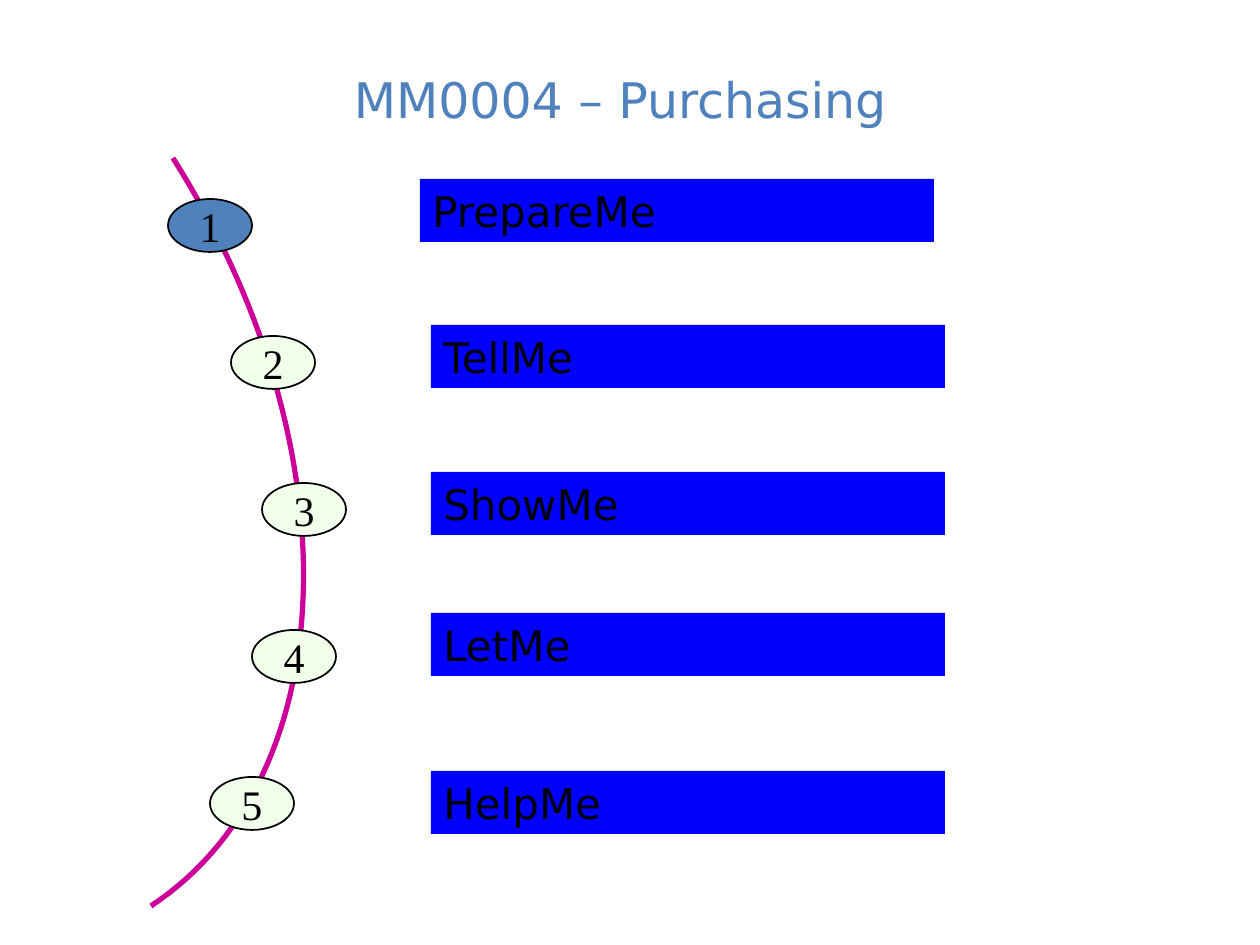
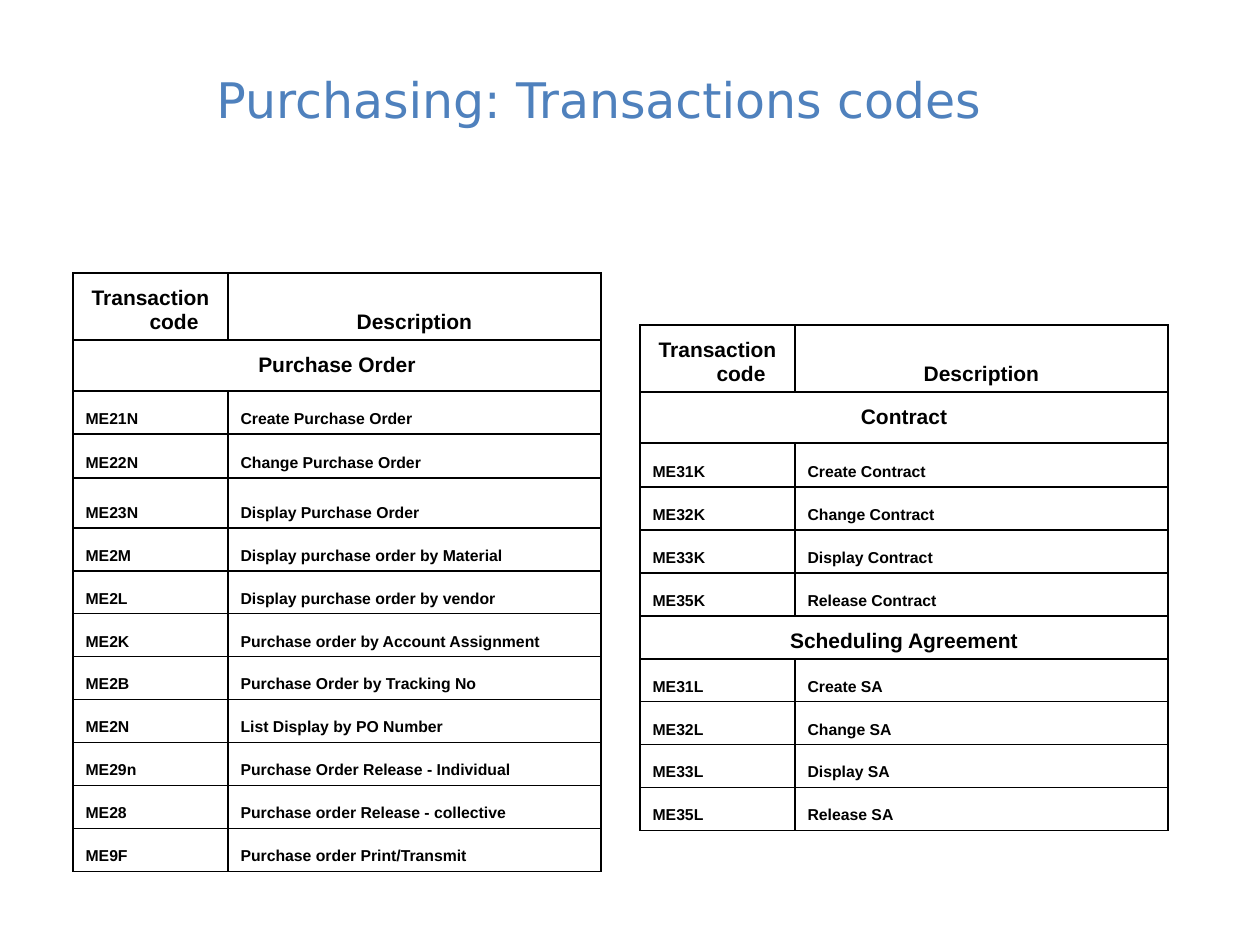
"""Build the purchasing roadmap and the table slide of its transaction codes."""
import pptx
import pptx.dml.color
import pptx.enum.shapes
import pptx.enum.text
import pptx.oxml
import pptx.oxml.ns
import pptx.util

PX = 914400 / 126
COLORS = {"accent": "4F81BD", "path": "CC0099", "bar": "0000FF", "step": "F2FFEB", "ink": "000000"}
SANS, SERIF, TABLE_FONT = "DejaVu Sans", "Times New Roman", "Arial"
ALIGN = pptx.enum.text.PP_ALIGN
ANCHOR = pptx.enum.text.MSO_ANCHOR
SHAPE = pptx.enum.shapes.MSO_SHAPE

STEPS = [
    ("PrepareMe", (168, 199), (420, 179)),
    ("TellMe", (231, 336), (431, 325)),
    ("ShowMe", (262, 483), (431, 472)),
    ("LetMe", (252, 630), (431, 613)),
    ("HelpMe", (210, 777), (431, 771)),
]
CURVE = [(173, 158), (355, 446), (346, 777), (151, 906)]
HEADER = ("Transaction code", "Description")
ORDER_ROWS = [
    HEADER,
    ("Purchase Order",),
    ("ME21N", "Create Purchase Order"),
    ("ME22N", "Change Purchase Order"),
    ("ME23N", "Display Purchase Order"),
    ("ME2M", "Display purchase order by Material"),
    ("ME2L", "Display purchase order by vendor"),
    ("ME2K", "Purchase order by Account Assignment"),
    ("ME2B", "Purchase Order by Tracking No"),
    ("ME2N", "List Display by PO Number"),
    ("ME29n", "Purchase Order Release - Individual"),
    ("ME28", "Purchase order Release - collective"),
    ("ME9F", "Purchase order Print/Transmit"),
]
ACTIONS = ("Create", "Change", "Display", "Release")
AGREEMENT_ROWS = [
    HEADER,
    ("Contract",),
    *[(f"ME3{n}K", f"{action} Contract") for n, action in zip("1235", ACTIONS)],
    ("Scheduling Agreement",),
    *[(f"ME3{n}L", f"{action} SA") for n, action in zip("1235", ACTIONS)],
]


def px(length):
    """Turn pixels into EMU."""
    return pptx.util.Emu(round(length * PX))


def rgb(name):
    """Look up a named colour."""
    return pptx.dml.color.RGBColor.from_string(COLORS[name])


def write(tf, text, size, font, color="ink", align=ALIGN.LEFT, bold=False):
    """Fill a text frame with one formatted paragraph and return it."""
    tf.text = text
    p = tf.paragraphs[0]
    p.alignment = align
    f = p.runs[0].font
    f.size, f.name, f.bold = pptx.util.Pt(size), font, bold
    f.color.rgb = rgb(color)
    return p


def add_title(s, text, box):
    """Add a centred slide title in a box."""
    tf = s.shapes.add_textbox(*map(px, box)).text_frame
    tf.word_wrap = True
    tf.vertical_anchor = ANCHOR.MIDDLE
    write(tf, text, 28, SANS, "accent", ALIGN.CENTER)


def add_block(s, kind, box, fill, line=None):
    """Add a flat filled shape with an optional outline."""
    sp = s.shapes.add_shape(kind, *map(px, box))
    sp.shadow.inherit = False
    sp.fill.solid()
    sp.fill.fore_color.rgb = rgb(fill)
    if line:
        sp.line.color.rgb = rgb(line)
        sp.line.width = pptx.util.Pt(1)
    else:
        sp.line.fill.background()
    return sp


def add_curve(s, controls, segments=60):
    """Draw the roadmap as an open cubic curve through control points."""
    points = []
    for i in range(segments + 1):
        t = i / segments
        weights = ((1 - t) ** 3, 3 * t * (1 - t) ** 2, 3 * t * t * (1 - t), t ** 3)
        points.append(tuple(px(sum(w * c[axis] for w, c in zip(weights, controls))) for axis in (0, 1)))
    builder = s.shapes.build_freeform(*points[0])
    builder.add_line_segments(points[1:], close=False)
    sp = builder.convert_to_shape()
    sp.shadow.inherit = False
    sp.fill.background()
    sp.line.color.rgb = rgb("path")
    sp.line.width = pptx.util.Pt(3)


def add_step(s, number, label, oval_at, bar_at):
    """Add a numbered oval and its label bar."""
    oval = add_block(s, SHAPE.OVAL, (*oval_at, 84, 53), "accent" if number == 1 else "step", "ink")
    oval.text_frame.word_wrap = False
    oval.text_frame.vertical_anchor = ANCHOR.MIDDLE
    write(oval.text_frame, str(number), 24, SERIF, align=ALIGN.CENTER)
    bar = add_block(s, SHAPE.RECTANGLE, (*bar_at, 514, 63), "bar")
    bar.text_frame.word_wrap = True
    bar.text_frame.auto_size = pptx.enum.text.MSO_AUTO_SIZE.SHAPE_TO_FIT_TEXT
    bar.text_frame.vertical_anchor = ANCHOR.TOP
    write(bar.text_frame, label, 24, SANS)


def style_cell(cell):
    """Clear a cell's fill and rule all four sides."""
    cell.fill.background()
    tc_pr = cell._tc.get_or_add_tcPr()
    for i, side in enumerate("LRTB"):
        tc_pr.insert(i, pptx.oxml.parse_xml(
            f'<a:ln{side} {pptx.oxml.ns.nsdecls("a")} w="12700"><a:solidFill>'
            f'<a:srgbClr val="{COLORS["ink"]}"/></a:solidFill></a:ln{side}>'))


def add_codes_table(s, left, top, rows, heights):
    """Add a code table, where a row of one text is a section heading."""
    widths = (155, 373)
    frame = s.shapes.add_table(len(rows), 2, *map(px, (left, top, sum(widths), sum(heights))))
    table = frame.table
    table.first_row = table.horz_banding = False
    for column, width in zip(table.columns, widths):
        column.width = px(width)
    for i, (texts, height) in enumerate(zip(rows, heights)):
        table.rows[i].height = px(height)
        for j in range(2):
            style_cell(table.cell(i, j))
        if len(texts) == 1:
            table.cell(i, 0).merge(table.cell(i, 1))
        heading = texts == HEADER or len(texts) == 1
        for j, text in enumerate(texts):
            cell = table.cell(i, j)
            cell.vertical_anchor = ANCHOR.MIDDLE if i == 1 else ANCHOR.BOTTOM
            p = write(cell.text_frame, text, 12 if heading else 9, TABLE_FONT,
                      align=ALIGN.CENTER if heading else ALIGN.LEFT, bold=True)
            p_pr = p._p.get_or_add_pPr()
            p_pr.set("marL", str(px(47)))
            p_pr.set("indent", str(px(-47)))


def roadmap_slide(prs):
    """Build the five-step roadmap slide."""
    s = prs.slides.add_slide(prs.slide_layouts[6])
    add_title(s, "MM0004 – Purchasing", (53, 20, 1134, 158))
    add_curve(s, CURVE)
    for number, step in enumerate(STEPS, 1):
        add_step(s, number, *step)


def codes_slide(prs):
    """Build the slide with both transaction code tables."""
    s = prs.slides.add_slide(prs.slide_layouts[6])
    add_title(s, "Purchasing: Transactions codes", (-3, 53, 1203, 92))
    add_codes_table(s, 73, 273, ORDER_ROWS, [67, 51, 43, 44, 50] + [43] * 8)
    add_codes_table(s, 640, 325, AGREEMENT_ROWS, [67, 51, 44] + [43] * 8)


def main():
    """Build and save the presentation."""
    prs = pptx.Presentation()
    prs.slide_width, prs.slide_height = px(1260), px(945)
    roadmap_slide(prs)
    codes_slide(prs)
    prs.save("out.pptx")


if __name__ == "__main__":
    main()
